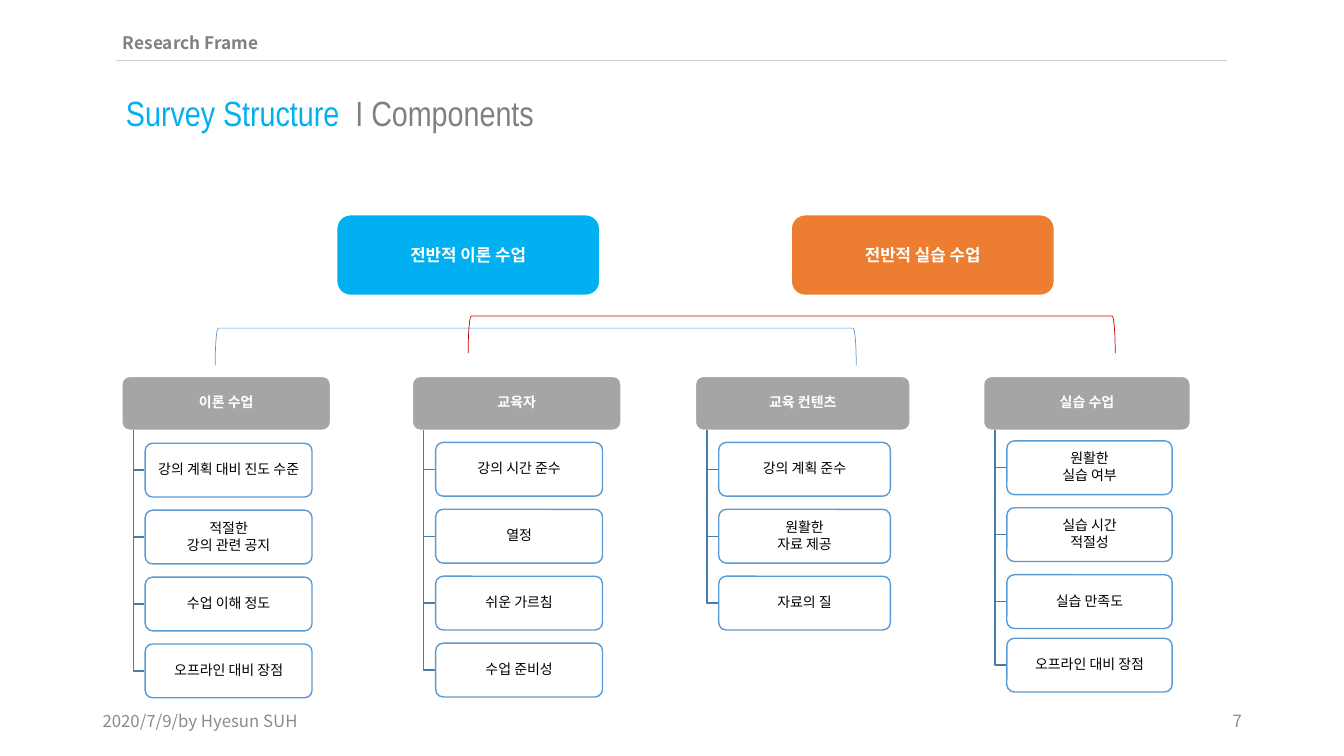
from lxml import etree
from pptx import Presentation
from pptx.dml.color import RGBColor
from pptx.enum.shapes import MSO_CONNECTOR, MSO_SHAPE
from pptx.enum.text import MSO_ANCHOR, MSO_AUTO_SIZE, PP_ALIGN
from pptx.oxml.ns import qn
from pptx.util import Pt

ROUND = MSO_SHAPE.ROUNDED_RECTANGLE
BRACKET = MSO_SHAPE.LEFT_BRACKET
STRAIGHT = MSO_CONNECTOR.STRAIGHT
TOP, MIDDLE = MSO_ANCHOR.TOP, MSO_ANCHOR.MIDDLE
LEFT, CENTER, RIGHT = PP_ALIGN.LEFT, PP_ALIGN.CENTER, PP_ALIGN.RIGHT
FIXED = MSO_AUTO_SIZE.NONE

WHITE = RGBColor(0xFF, 0xFF, 0xFF)
BLACK = RGBColor(0x00, 0x00, 0x00)
SKY = RGBColor(0x00, 0xB0, 0xF0)
ORANGE = RGBColor(0xED, 0x7D, 0x31)
GRAY = RGBColor(0x80, 0x80, 0x80)
SILVER = RGBColor(0xA5, 0xA5, 0xA5)
PALE = RGBColor(0xD0, 0xCE, 0xCE)
FOOT = RGBColor(0x8C, 0x8C, 0x8C)
BLUE = RGBColor(0x5B, 0x9B, 0xD5)
STEEL = RGBColor(0x49, 0x7C, 0xAB)
RED = RGBColor(0xC0, 0x00, 0x00)

SANS = "Noto Sans CJK KR"
NARROW = "Arial Narrow"

HEAD_TOP = 268.9
BOX_H = 38.4
STEP = 47.8
STEM = 8.1
INDENT = 16.6

COLUMNS = [
    (87.1, 149, 316.6, 0, "이론 수업",
     ["강의 계획 대비 진도 수준", "적절한\n강의 관련 공지", "수업 이해 정도", "오프라인 대비 장점"]),
    (294.6, 149, 316, 0, "교육자",
     ["강의 시간 준수", "열정", "쉬운 가르침", "수업 준비성"]),
    (496.8, 153.2, 316, 0, "교육 컨텐츠",
     ["강의 계획 준수", "원활한\n자료 제공", "자료의 질"]),
    (702.6, 147.6, 314.9, 2.4, "실습 수업",
     ["원활한\n실습 여부", "실습 시간\n적절성", "실습 만족도", "오프라인 대비 장점"]),
]


class Board:
    def __init__(self, slide, font):
        self.slide = slide
        self.shapes = slide.shapes
        self.font = font

    def style(self, run, size, color, bold=False, name=None):
        font = run.font
        font.name = name or self.font
        font.size = Pt(size)
        font.bold = bold
        font.color.rgb = color
        east = etree.SubElement(run._r.get_or_add_rPr(), qn("a:ea"))
        east.set("typeface", font.name)

    def frame(self, shape, pads, anchor):
        frame = shape.text_frame
        frame.word_wrap = True
        frame.auto_size = FIXED
        frame.vertical_anchor = anchor
        frame.margin_left = frame.margin_right = Pt(pads[0])
        frame.margin_top = frame.margin_bottom = Pt(pads[1])
        return frame

    def title(self, x, y, w, h, parts, size):
        shape = self.shapes.title
        shape.left, shape.top, shape.width, shape.height = map(Pt, (x, y, w, h))
        para = self.frame(shape, (7.2, 3.6), TOP).paragraphs[0]
        para.alignment = LEFT
        for text, color in parts:
            run = para.add_run()
            run.text = text
            self.style(run, size, color, name=NARROW)

    def label(self, x, y, w, h, text, size, color, bold=False,
              align=LEFT, anchor=MIDDLE, pads=(7.2, 3.6)):
        shape = self.shapes.add_textbox(Pt(x), Pt(y), Pt(w), Pt(h))
        frame = self.frame(shape, pads, anchor)
        frame.text = text
        para = frame.paragraphs[0]
        para.alignment = align
        self.style(para.runs[0], size, color, bold)

    def paint(self, shape, fill, line, weight):
        shape.shadow.inherit = False
        if fill is None:
            shape.fill.background()
        else:
            shape.fill.solid()
            shape.fill.fore_color.rgb = fill
        shape.line.color.rgb = line
        shape.line.width = Pt(weight)

    def box(self, x, y, w, h, text, fill, line, size, color,
            bold=False, curve=0.14, space=1, after=1.3):
        shape = self.shapes.add_shape(ROUND, Pt(x), Pt(y), Pt(w), Pt(h))
        shape.adjustments[0] = curve
        self.paint(shape, fill, line, 1)
        frame = self.frame(shape, (3, 2), MIDDLE)
        frame.text = text
        for para in frame.paragraphs:
            para.alignment = CENTER
            para.line_spacing = space
            para.space_after = Pt(after)
            self.style(para.runs[0], size, color, bold)

    def elbow(self, x, y, end_x, end_y):
        path = self.shapes.build_freeform(Pt(x), Pt(y))
        path.add_line_segments(
            [(Pt(x), Pt(end_y)), (Pt(end_x), Pt(end_y))], close=False)
        self.paint(path.convert_to_shape(), None, STEEL, 1)

    def bracket(self, x, y, w, h, color):
        shape = self.shapes.add_shape(
            BRACKET, Pt(x + (w - h) / 2), Pt(y + (h - w) / 2), Pt(h), Pt(w))
        shape.rotation = 90
        self.paint(shape, None, color, 0.5)

    def rule(self, x, y, end_x, color):
        line = self.shapes.add_connector(STRAIGHT, Pt(x), Pt(y), Pt(end_x), Pt(y))
        line.line.color.rgb = color
        line.line.width = Pt(0.5)
        etree.SubElement(line._element.spPr, qn("a:effectLst"))

    def column(self, x, w, top, lift, head, items):
        self.box(x, HEAD_TOP, w, BOX_H, head, SILVER, WHITE, 10, WHITE,
                 bold=True, space=0.9)
        left = x + INDENT
        for i, item in enumerate(items):
            y = top + STEP * i - (lift if i == 3 else 0)
            self.elbow(x + STEM, HEAD_TOP + BOX_H, left - 0.7, y + BOX_H / 2)
            self.box(left, y, w * 0.8, BOX_H, item, WHITE, BLUE, 10, BLACK,
                     space=0.9)


def main():
    deck = Presentation()
    deck.slide_width, deck.slide_height = Pt(960), Pt(540)
    board = Board(deck.slides.add_slide(deck.slide_layouts[5]), SANS)

    board.title(82.8, 61.9, 543.6, 37.4,
                [("Survey Structure  ", SKY), ("I Components", GRAY)], 25)
    board.rule(82.8, 43.2, 876.2, PALE)
    for data in COLUMNS:
        board.column(*data)
    for x, text, fill in [(240.5, "전반적 이론 수업", SKY),
                          (565.2, "전반적 실습 수업", ORANGE)]:
        board.box(x, 153.4, 187.9, 57.6, text, fill, WHITE, 12, WHITE,
                  bold=True, curve=0.17, after=0)
    board.label(82.8, 20.9, 482.4, 20.2, "Research Frame", 12.3, GRAY,
                bold=True, anchor=TOP, pads=(5, 2.2))
    board.bracket(153.7, 234.4, 457.9, 26.6, BLUE)
    board.bracket(334.4, 225.7, 462.2, 26.6, RED)
    for x, text, align in [(66.2, "2020/7/9/by Hyesun SUH", LEFT),
                           (678.2, "7", RIGHT)]:
        board.label(x, 500.4, 216, 28.8, text, 12, FOOT, align=align)
    deck.save("out.pptx")


if __name__ == "__main__":
    main()
